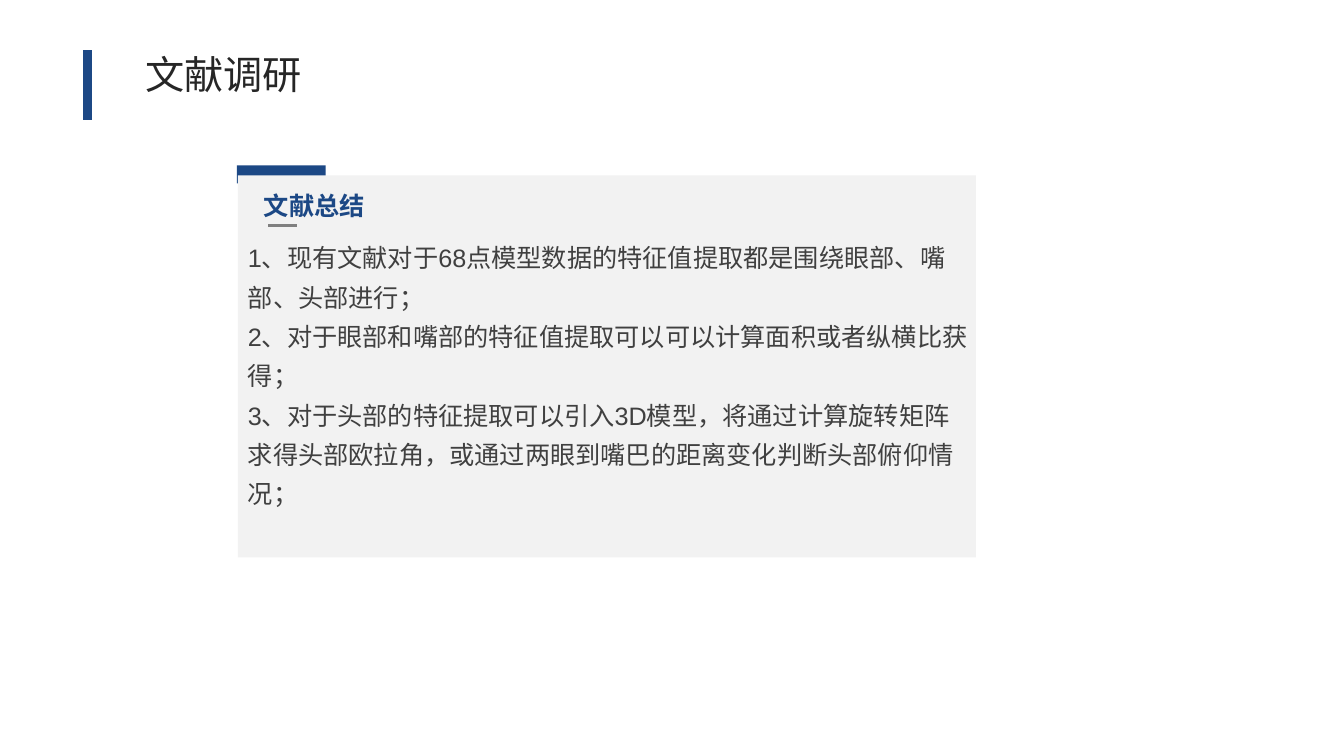
from dataclasses import dataclass

from lxml import etree
from pptx import Presentation
from pptx import util as u
from pptx.dml.color import RGBColor
from pptx.enum import shapes, text
from pptx.oxml import ns

PX = 9144
FONT = "Arial"
BLUE = RGBColor(0x1C, 0x48, 0x85)
PANEL_GRAY = RGBColor(0xF2, 0xF2, 0xF2)
RULE_GRAY = RGBColor(0x80, 0x80, 0x80)
TITLE_INK = RGBColor(0x26, 0x26, 0x26)
BODY_INK = RGBColor(0x40, 0x40, 0x40)


@dataclass(frozen=True)
class Area:
    left: int
    top: int
    width: int
    height: int

    def emu(self) -> list[int]:
        return [side * PX for side in (self.left, self.top, self.width, self.height)]


@dataclass(frozen=True)
class Block:
    area: Area
    color: RGBColor


@dataclass(frozen=True)
class Rule:
    start: tuple[int, int]
    end: tuple[int, int]
    color: RGBColor
    points: int


@dataclass(frozen=True)
class Copy:
    area: Area
    lines: tuple[str, ...]
    size: int
    color: RGBColor
    bold: bool = False
    align: text.PP_ALIGN = text.PP_ALIGN.LEFT
    spacing: float = 1.0
    fit: text.MSO_AUTO_SIZE = text.MSO_AUTO_SIZE.SHAPE_TO_FIT_TEXT


TITLE = Copy(Area(66, 45, 311, 57), ("文献调研",), 28, TITLE_INK,
             align=text.PP_ALIGN.CENTER)
HEADING = Copy(Area(252, 184, 243, 40), ("文献总结",), 18, BLUE, bold=True)
SUMMARY = Copy(
    Area(236, 227, 734, 324),
    (
        "1、现有文献对于68点模型数据的特征值提取都是围绕眼部、嘴部、头部进行；",
        "2、对于眼部和嘴部的特征值提取可以可以计算面积或者纵横比获得；",
        "3、对于头部的特征提取可以引入3D模型，将通过计算旋转矩阵求得头部欧拉角，"
        "或通过两眼到嘴巴的距离变化判断头部俯仰情况；",
    ),
    18, BODY_INK, spacing=1.3, fit=text.MSO_AUTO_SIZE.NONE,
)
TITLE_BAR = Rule((87, 50), (87, 119), BLUE, 6)
HEADING_RULE = Rule((266, 224), (295, 224), RULE_GRAY, 2)
TAB = Block(Area(235, 164, 88, 18), BLUE)
PANEL = Block(Area(236, 174, 732, 379), PANEL_GRAY)


def apply(target: object, values: dict[str, object]) -> None:
    for name, value in values.items():
        setattr(target, name, value)


def write(box, copy: Copy) -> None:
    apply(box, dict(zip(("left", "top", "width", "height"), copy.area.emu())))
    frame = box.text_frame
    apply(frame, {"word_wrap": True, "auto_size": copy.fit,
                  "vertical_anchor": text.MSO_ANCHOR.TOP})
    frame.text = "\n".join(copy.lines)
    for para in frame.paragraphs:
        apply(para, {"alignment": copy.align, "line_spacing": copy.spacing})
        for span in para.runs:
            apply(span.font, {"name": FONT, "size": u.Pt(copy.size), "bold": copy.bold})
            span.font.color.rgb = copy.color


def draw_text(page, copy: Copy) -> None:
    write(page.shapes.add_textbox(*copy.area.emu()), copy)


def draw_block(page, block: Block) -> None:
    shape = page.shapes.add_shape(shapes.MSO_SHAPE.RECTANGLE, *block.area.emu())
    shape.shadow.inherit = False
    shape.fill.solid()
    shape.fill.fore_color.rgb = block.color
    shape.line.fill.background()


def draw_rule(page, rule: Rule) -> None:
    ends = [value * PX for value in rule.start + rule.end]
    line = page.shapes.add_connector(shapes.MSO_CONNECTOR.STRAIGHT, *ends)
    line.line.color.rgb = rule.color
    line.line.width = u.Pt(rule.points)
    etree.SubElement(line._element.spPr, ns.qn("a:effectLst"))


def main() -> None:
    deck = Presentation()
    apply(deck, {"slide_width": 1333 * PX, "slide_height": 750 * PX})
    page = deck.slides.add_slide(deck.slide_layouts.get_by_name("Title Only"))
    write(page.shapes.title, TITLE)
    draw_rule(page, TITLE_BAR)
    for block in (TAB, PANEL):
        draw_block(page, block)
    for copy in (HEADING, SUMMARY):
        draw_text(page, copy)
    draw_rule(page, HEADING_RULE)
    deck.save("out.pptx")


if __name__ == "__main__":
    main()
